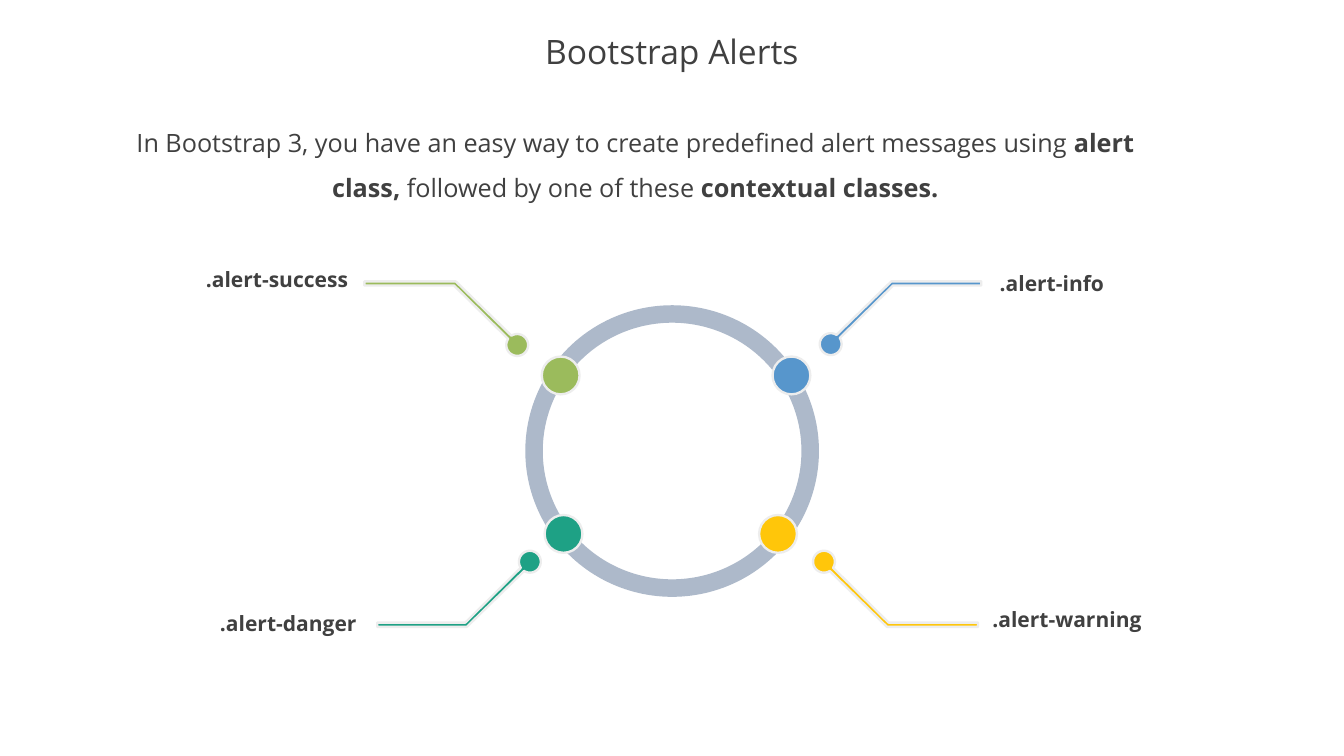
"""Build the slide on alert classes around a ring."""
from math import cos, radians, sin
from lxml import etree
from pptx import Presentation
from pptx.dml.color import RGBColor
from pptx.enum.shapes import MSO_SHAPE
from pptx.enum.text import MSO_ANCHOR, PP_ALIGN
from pptx.util import Pt

ROUND, OVAL, DONUT = MSO_SHAPE.ROUNDED_RECTANGLE, MSO_SHAPE.OVAL, MSO_SHAPE.DONUT
MID, TOP, MIDDLE = PP_ALIGN.CENTER, MSO_ANCHOR.TOP, MSO_ANCHOR.MIDDLE
FONT = "Open Sans"
HUES = {"text": "404040", "ring": "ADB9CA", "edge": "EDEDED", "green": "9BBB5C",
        "blue": "5796CC", "gold": "FFC60A", "teal": "1EA185"}
TITLE = "Bootstrap Alerts"
INTRO = [
    ("In Bootstrap 3, you have an easy way to create predefined alert messages using ", False),
    ("alert class, ", True),
    ("followed by one of these ", False),
    ("contextual classes.", True),
]
ALERTS = [
    {"text": ".alert-success", "hue": "green", "bead": (534, 357.6), "dot": (492.6, 328.6),
     "end": (347, 268), "box": (148.3, 246.2), "lead": 1},
    {"text": ".alert-info", "hue": "blue", "bead": (753.8, 357.6), "dot": (791.2, 327.8),
     "end": (934.5, 268), "box": (886.3, 244.1), "lead": 1.5},
    {"text": ".alert-warning", "hue": "gold", "bead": (741, 508.5), "dot": (784.8, 535),
     "end": (931.5, 597), "box": (900.7, 563.8), "lead": 1.5},
    {"text": ".alert-danger", "hue": "teal", "bead": (536.7, 508.5), "dot": (504.7, 535),
     "end": (359.3, 597), "box": (159.1, 568.1), "lead": 1.5},
]
LABEL = (231, 39.6)
BEAD, DOT = 36, 10.4


def tint(hue):
    return RGBColor.from_string(HUES[hue])


def paint(shape, hue, edge=None):
    shape.shadow.inherit = False
    if hue:
        shape.fill.solid()
        shape.fill.fore_color.rgb = tint(hue)
    else:
        shape.fill.background()
    if edge:
        shape.line.color.rgb = tint(edge)
        shape.line.width = Pt(2.25)
    else:
        shape.line.fill.background()


def write(shape, parts, size, lead, anchor=MIDDLE):
    frame = shape.text_frame
    frame.word_wrap = True
    frame.vertical_anchor = anchor
    para = frame.paragraphs[0]
    para.alignment = MID
    para.line_spacing = lead
    para.space_before = Pt(0)
    for text, bold in parts:
        run = para.add_run()
        run.text = text
        font = run.font
        font.name, font.size, font.bold = FONT, Pt(size), bold
        font.color.rgb = tint("text")


def add(shapes, kind, *box):
    return shapes.add_shape(kind, *map(Pt, box))


def lead_line(shapes, dot, end, hue):
    (x, y), (ex, ey) = dot, end
    run, rise = abs(ex - x), abs(ey - y)
    sx, sy = (1 if ex > x else -1), (1 if ey > y else -1)
    arc = [(DOT * cos(radians(a)), DOT * sin(radians(a))) for a in range(34, -305, -6)]
    path = [(run, rise), (run, rise - 4), (rise - 0.5, rise - 4), *arc, (rise - 2, rise)]
    spots = [(Pt(x + sx * px), Pt(y + sy * py)) for px, py in path]
    build = shapes.build_freeform(*spots[0])
    build.add_line_segments(spots[1:], close=True)
    paint(build.convert_to_shape(), hue, "edge")


def main():
    deck = Presentation()
    deck.slide_width, deck.slide_height = Pt(1280), Pt(720)
    slide = deck.slides.add_slide(deck.slide_layouts[5])
    shapes = slide.shapes
    title = shapes.title
    title.left, title.top, title.width, title.height = map(Pt, (0, 25.2, 1280, 52.6))
    write(title, [(TITLE, False)], 32, 0.9)
    intro = shapes.add_textbox(*map(Pt, (105, 103, 1000, 90)))
    write(intro, INTRO, 24, 1.5, TOP)
    ring = add(shapes, DONUT, 500.3, 290.7, 279.7, 277.7)
    ring.adjustments[0] = 0.06
    paint(ring, "ring")
    for item in ALERTS:
        label = add(shapes, ROUND, *item["box"], *LABEL)
        paint(label, None)
        write(label, [(item["text"], True)], 20, item["lead"])
        x, y = item["bead"]
        bead = add(shapes, OVAL, x - BEAD / 2, y - BEAD / 2, BEAD, BEAD)
        paint(bead, item["hue"], "edge")
        lead_line(shapes, item["dot"], item["end"], item["hue"])
    deck.save("out.pptx")


if __name__ == "__main__":
    main()
